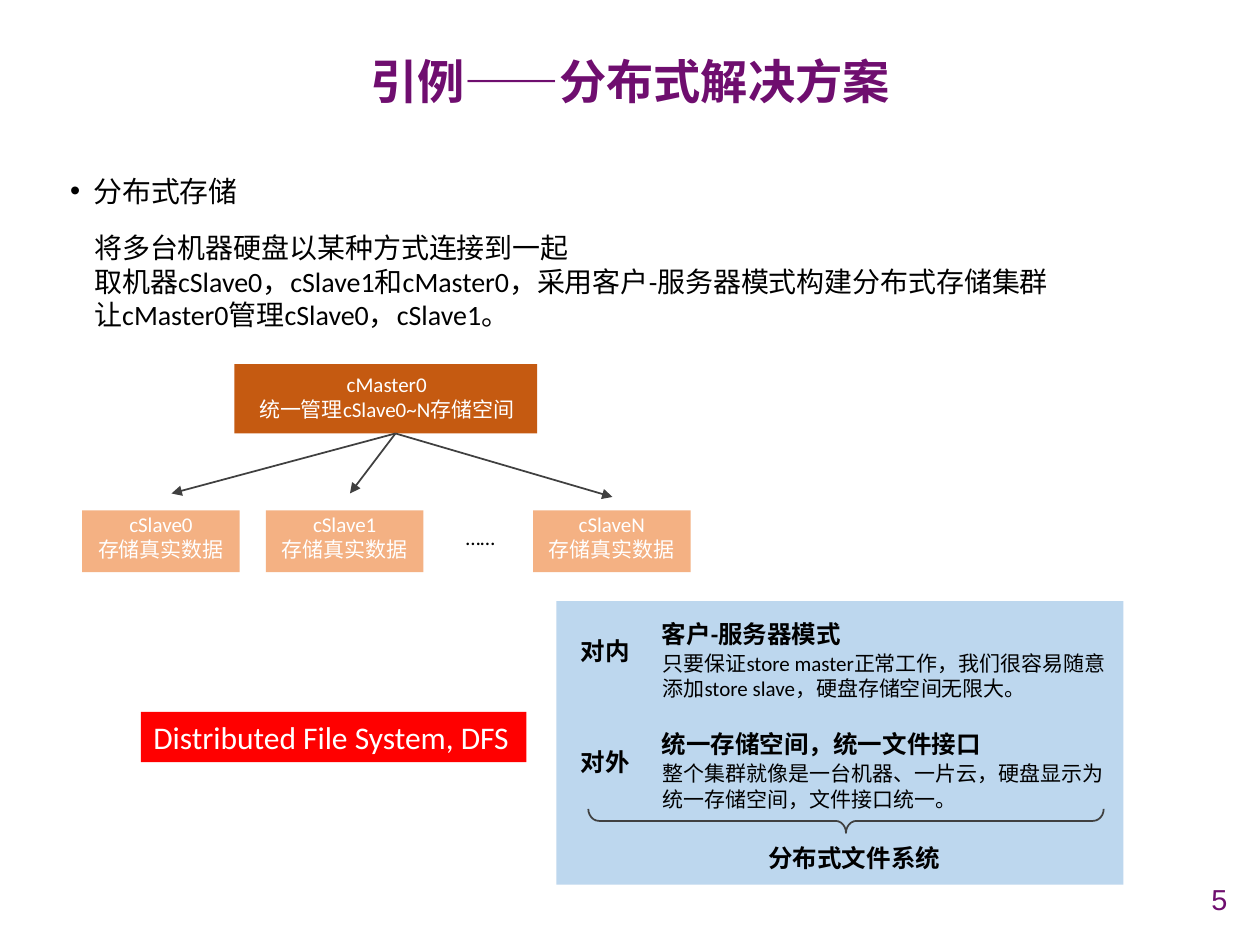
from lxml.etree import SubElement
from pptx import Presentation
from pptx.dml.color import RGBColor
from pptx.enum.shapes import MSO_CONNECTOR, MSO_SHAPE
from pptx.enum.text import MSO_ANCHOR, PP_ALIGN
from pptx.oxml.ns import qn
from pptx.util import Pt

PURPLE = RGBColor(0x6F, 0x0E, 0x6F)
BLACK = RGBColor(0, 0, 0)
WHITE = RGBColor(0xFF, 0xFF, 0xFF)
GREY = RGBColor(0x40, 0x40, 0x40)
BROWN = RGBColor(0xC5, 0x5A, 0x11)
PEACH = RGBColor(0xF4, 0xB1, 0x83)
BLUE = RGBColor(0xBD, 0xD7, 0xEE)
RED = RGBColor(0xFF, 0, 0)
CJK = "Noto Sans CJK SC"
CENTER = PP_ALIGN.CENTER

TITLE = "引例——分布式解决方案"
TOPIC = "分布式存储"
INTRO = [
    "将多台机器硬盘以某种方式连接到一起",
    "取机器cSlave0，cSlave1和cMaster0，采用客户-服务器模式构建分布式存储集群",
    "让cMaster0管理cSlave0，cSlave1。",
]
MASTER = ["cMaster0", "统一管理cSlave0~N存储空间"]
SLAVE_ROLE = "存储真实数据"
SLAVES = [("cSlave0", 47, (98, 282)), ("cSlave1", 152, (200, 282)), ("cSlaveN", 304.6, (350, 284))]
VIEWS = [
    ("对内", "客户-服务器模式",
     ["只要保证store master正常工作，我们很容易随意", "添加store slave，硬盘存储空间无限大。"]),
    ("对外", "统一存储空间，统一文件接口",
     ["整个集群就像是一台机器、一片云，硬盘显示为", "统一存储空间，文件接口统一。"]),
]
MASTER_FOOT = (226, 247.7)
VIEW_TOP, VIEW_PITCH = 350, 63.3


def write(shape, lines, size, color=BLACK, font="Calibri", bold=False,
          align=PP_ALIGN.LEFT, anchor=MSO_ANCHOR.TOP, wrap=True):
    frame = shape.text_frame
    frame.text = "\n".join(lines)
    frame.word_wrap = wrap
    frame.vertical_anchor = anchor
    for para in frame.paragraphs:
        para.alignment = align
        for span in para.runs:
            span.font.size, span.font.name, span.font.bold = Pt(size), font, bold
            span.font.color.rgb = color
            SubElement(span.font._element, qn("a:ea"), typeface=CJK)
    return frame


def add_text(place, lines, size, **style):
    box = page.shapes.add_textbox(*map(Pt, place))
    return write(box, lines, size, **style)


def add_block(place, fill=None, kind=MSO_SHAPE.RECTANGLE):
    block = page.shapes.add_shape(kind, *map(Pt, place))
    block.shadow.inherit = False
    block.line.fill.background()
    if fill is None:
        block.fill.background()
    else:
        block.fill.solid()
        block.fill.fore_color.rgb = fill
    return block


def draw_line(line):
    line.color.rgb = GREY
    line.width = Pt(1)


def add_arrow(start, end):
    arrow = page.shapes.add_connector(MSO_CONNECTOR.STRAIGHT, *map(Pt, start + end))
    draw_line(arrow.line)
    SubElement(arrow.line._get_or_add_ln(), qn("a:tailEnd"), type="triangle")
    SubElement(arrow._element.spPr, qn("a:effectLst"))


deck = Presentation()
deck.slide_width, deck.slide_height = Pt(720), Pt(540)
page = deck.slides.add_slide(deck.slide_layouts[6])

title = add_text((33, 22.3, 654, 51), [TITLE], 27, color=PURPLE, font=CJK, bold=True,
                 align=CENTER, anchor=MSO_ANCHOR.MIDDLE)
title.paragraphs[0].line_spacing = 0.9

topic = add_text((33, 93.6, 654, 408), [TOPIC], 16.5, font=CJK).paragraphs[0]
topic.line_spacing, topic.space_before = Pt(21.6), Pt(7.5)
bullet = topic._p.get_or_add_pPr()
bullet.set("marL", str(Pt(13.5)))
bullet.set("indent", str(Pt(-13.5)))
SubElement(bullet, qn("a:buFont"), typeface="Arial")
SubElement(bullet, qn("a:buChar"), char="•")

add_text((658, 502.6, 50.4, 22.3), ["5"], 16.5, color=PURPLE, font="Arial",
         align=PP_ALIGN.RIGHT, anchor=MSO_ANCHOR.MIDDLE)
add_text((46.8, 128.2, 649.4, 65.5), INTRO, 16)

add_block((134, 208, 173, 39.6), BROWN)
add_text((137, 208.8, 168, 36), MASTER, 12, color=WHITE, align=CENTER)
for name, left, tip in SLAVES:
    add_block((left, 291.6, 90, 35.3), PEACH)
    add_text((left + 1.5, 288.7, 87, 36), [name, SLAVE_ROLE], 12, color=WHITE,
             align=CENTER, wrap=False)
    add_arrow(MASTER_FOOT, tip)
add_text((259.2, 296, 31, 21.6), ["……"], 12, wrap=False)

add_block((318, 343.5, 324, 162), BLUE)
for index, (side, heading, details) in enumerate(VIEWS):
    top = VIEW_TOP + index * VIEW_PITCH
    add_text((371, top, 288, 32.4), [heading], 14, bold=True)
    add_text((324.7, top + 10, 60.5, 32.4), [side], 14, bold=True)
    add_text((371.5, top + 18, 300, 67.7), details, 12)
add_text((432, 478, 115, 24.5), ["分布式文件系统"], 14, bold=True)

brace = add_block((476.6, 321.8, 13.7, 294.5), kind=MSO_SHAPE.LEFT_BRACE)
brace.rotation = 270
brace.adjustments[0], brace.adjustments[1] = 0.44, 0.5
draw_line(brace.line)

dfs = add_block((80.6, 406.8, 220.3, 28.8), RED)
write(dfs, ["Distributed File System, DFS"], 18, color=WHITE, wrap=False)

deck.save("out.pptx")
